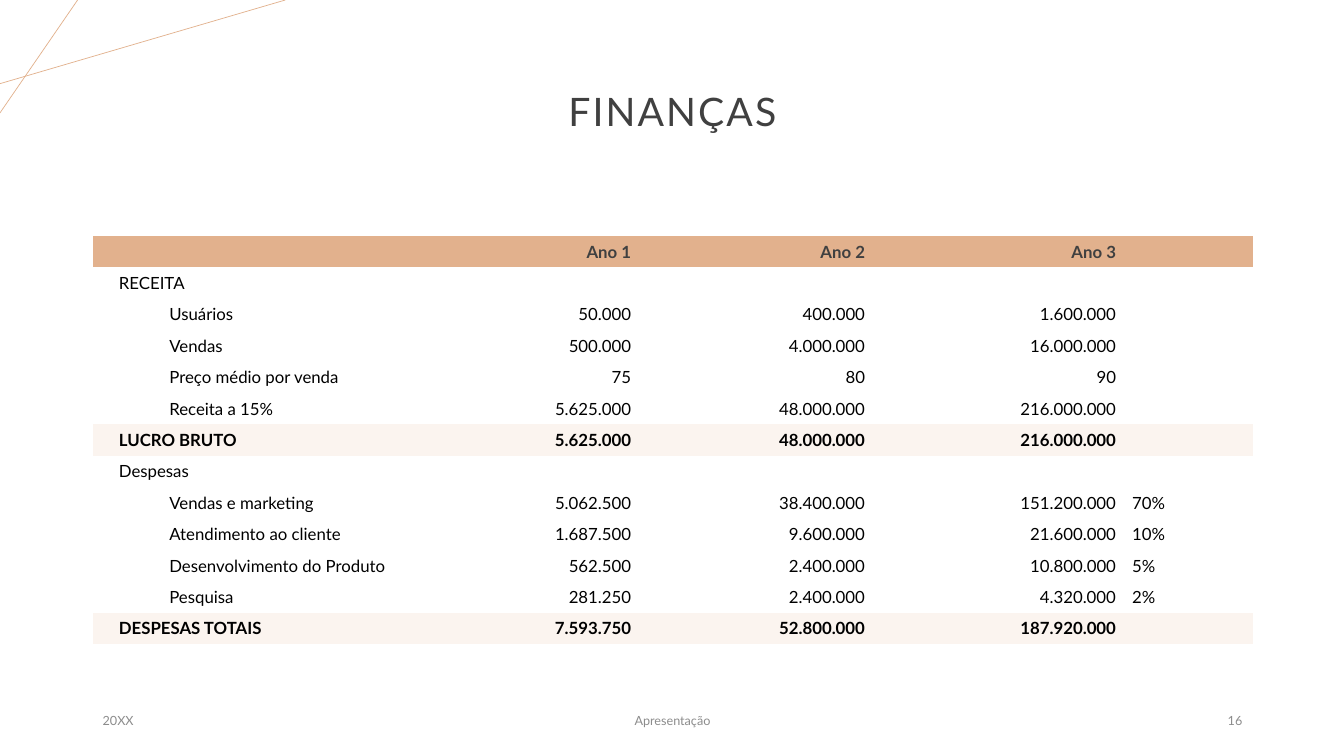
from dataclasses import dataclass

from lxml.etree import SubElement
from pptx import Presentation
from pptx.dml.color import RGBColor
from pptx.enum.shapes import MSO_CONNECTOR
from pptx.enum.text import MSO_ANCHOR, PP_ALIGN
from pptx.oxml.ns import qn
from pptx.util import Inches, Pt

# Content
TITLE = "FINANÇAS"
YEARS = ["", "Ano 1", "Ano 2", "Ano 3", ""]
HEADER, SECTION, ITEM, TOTAL = "header", "section", "item", "total"
FINANCES = [
    (HEADER, YEARS),
    (SECTION, ["RECEITA", "", "", "", ""]),
    (ITEM, ["Usuários", "50.000", "400.000", "1.600.000", ""]),
    (ITEM, ["Vendas", "500.000", "4.000.000", "16.000.000", ""]),
    (ITEM, ["Preço médio por venda", "75", "80", "90", ""]),
    (ITEM, ["Receita a 15%", "5.625.000", "48.000.000", "216.000.000", ""]),
    (TOTAL, ["LUCRO BRUTO", "5.625.000", "48.000.000", "216.000.000", ""]),
    (SECTION, ["Despesas", "", "", "", ""]),
    (ITEM, ["Vendas e marketing", "5.062.500", "38.400.000", "151.200.000", "70%"]),
    (ITEM, ["Atendimento ao cliente", "1.687.500", "9.600.000", "21.600.000", "10%"]),
    (ITEM, ["Desenvolvimento do Produto", "562.500", "2.400.000", "10.800.000", "5%"]),
    (ITEM, ["Pesquisa", "281.250", "2.400.000", "4.320.000", "2%"]),
    (TOTAL, ["DESPESAS TOTAIS", "7.593.750", "52.800.000", "187.920.000", ""]),
]
FOOTERS = [  # text, left, width, alignment
    ("20XX", 0.92, 3, PP_ALIGN.LEFT),
    ("Apresentação", 4.42, 4.5, PP_ALIGN.CENTER),
    ("16", 9.42, 3, PP_ALIGN.RIGHT),
]
CORNER_LINES = [((0, 0.83), (2.83, 0)), ((0.77, 0), (0, 1.12))]

# Layout, in inches
LEFT, WIDTH = 0.92, 11.5
TABLE_TOP, TABLE_HEIGHT = 2.34, 4.05
COLUMN_WIDTHS = [3.54, 1.88, 2.32, 2.49, 1.28]
LABEL_MARGIN, SIDE_MARGIN, EDGE_MARGIN, ITEM_INDENT = 0.26, 0.08, 0.04, 0.5
PLAIN_TABLE_STYLE = "{2D5ABB26-0587-4C30-8999-92F81FD0307C}"


@dataclass(frozen=True)
class Theme:
    font: str = "Lato"
    accent: RGBColor = RGBColor(0xE2, 0xB1, 0x8D)
    tint: RGBColor = RGBColor(0xFB, 0xF4, 0xEF)
    heading: RGBColor = RGBColor(0x40, 0x40, 0x40)
    body: RGBColor = RGBColor(0, 0, 0)
    muted: RGBColor = RGBColor(0x8C, 0x8C, 0x8C)
    title_size: int = 28
    table_size: int = 12
    footer_size: int = 9


THEME = Theme()
ROW_FILLS = {HEADER: THEME.accent, TOTAL: THEME.tint}


def write(frame, text, size, color, align, bold=False):
    """Set one formatted paragraph and return it."""
    frame.text = text
    paragraph = frame.paragraphs[0]
    paragraph.alignment = align
    for run in paragraph.runs:
        run.font.name = THEME.font
        run.font.size = Pt(size)
        run.font.color.rgb = color
        run.font.bold = bold
    return paragraph


def add_corner_line(slide, start, end):
    line = slide.shapes.add_connector(
        MSO_CONNECTOR.STRAIGHT, *(Inches(v) for v in start + end))
    line.line.color.rgb = THEME.accent
    line.line.width = Pt(0.5)
    SubElement(line._element.spPr, qn("a:effectLst"))


def add_title(slide):
    title = slide.shapes.title
    title.left, title.top = Inches(LEFT), Inches(0.4)
    title.width, title.height = Inches(WIDTH), Inches(1.45)
    title.text_frame.vertical_anchor = MSO_ANCHOR.MIDDLE
    heading = write(title.text_frame, TITLE, THEME.title_size, THEME.heading,
                    PP_ALIGN.CENTER)
    heading.line_spacing = 0.9
    heading.runs[0].font._element.set("spc", "150")


def add_footer(slide, text, left, width, align):
    footer = slide.shapes.add_textbox(
        Inches(left), Inches(6.95), Inches(width), Inches(0.4))
    footer.text_frame.word_wrap = True
    footer.text_frame.vertical_anchor = MSO_ANCHOR.MIDDLE
    write(footer.text_frame, text, THEME.footer_size, THEME.muted, align)


def fill_cell(cell, text, kind, column):
    cell.vertical_anchor = MSO_ANCHOR.MIDDLE
    cell.margin_left = Inches(SIDE_MARGIN if column else LABEL_MARGIN)
    cell.margin_right = Inches(SIDE_MARGIN)
    cell.margin_top = cell.margin_bottom = Inches(EDGE_MARGIN)
    if kind in ROW_FILLS:
        cell.fill.solid()
        cell.fill.fore_color.rgb = ROW_FILLS[kind]
    else:
        cell.fill.background()

    color = THEME.heading if kind == HEADER else THEME.body
    align = PP_ALIGN.RIGHT if column in (1, 2, 3) else PP_ALIGN.LEFT
    entry = write(cell.text_frame, text, THEME.table_size, color, align,
                  kind in (HEADER, TOTAL))
    if kind == ITEM and column == 0:
        entry.level = 1
        properties = entry._p.get_or_add_pPr()
        properties.set("marL", str(Inches(ITEM_INDENT)))
        properties.set("indent", "0")
    if not text:  # keeps empty cells from stretching their row
        SubElement(entry._p, qn("a:endParaRPr"), sz=str(THEME.table_size * 100))


def add_finances(slide):
    table = slide.shapes.add_table(
        len(FINANCES), len(YEARS), Inches(LEFT), Inches(TABLE_TOP),
        Inches(WIDTH), Inches(TABLE_HEIGHT)).table
    table._tbl.tblPr.find(qn("a:tableStyleId")).text = PLAIN_TABLE_STYLE
    table.horz_banding = False
    for column, width in zip(table.columns, COLUMN_WIDTHS):
        column.width = Inches(width)
    for row, (kind, texts) in zip(table.rows, FINANCES):
        row.height = Inches(TABLE_HEIGHT / len(FINANCES))
        for column, text in enumerate(texts):
            fill_cell(row.cells[column], text, kind, column)


def main():
    deck = Presentation()
    deck.slide_width, deck.slide_height = Inches(13.33), Inches(7.5)
    slide = deck.slides.add_slide(deck.slide_layouts[5])

    # Corner decoration
    for start, end in CORNER_LINES:
        add_corner_line(slide, start, end)

    # Title, footers and table
    add_title(slide)
    for footer in FOOTERS:
        add_footer(slide, *footer)
    add_finances(slide)

    deck.save("out.pptx")


if __name__ == "__main__":
    main()
